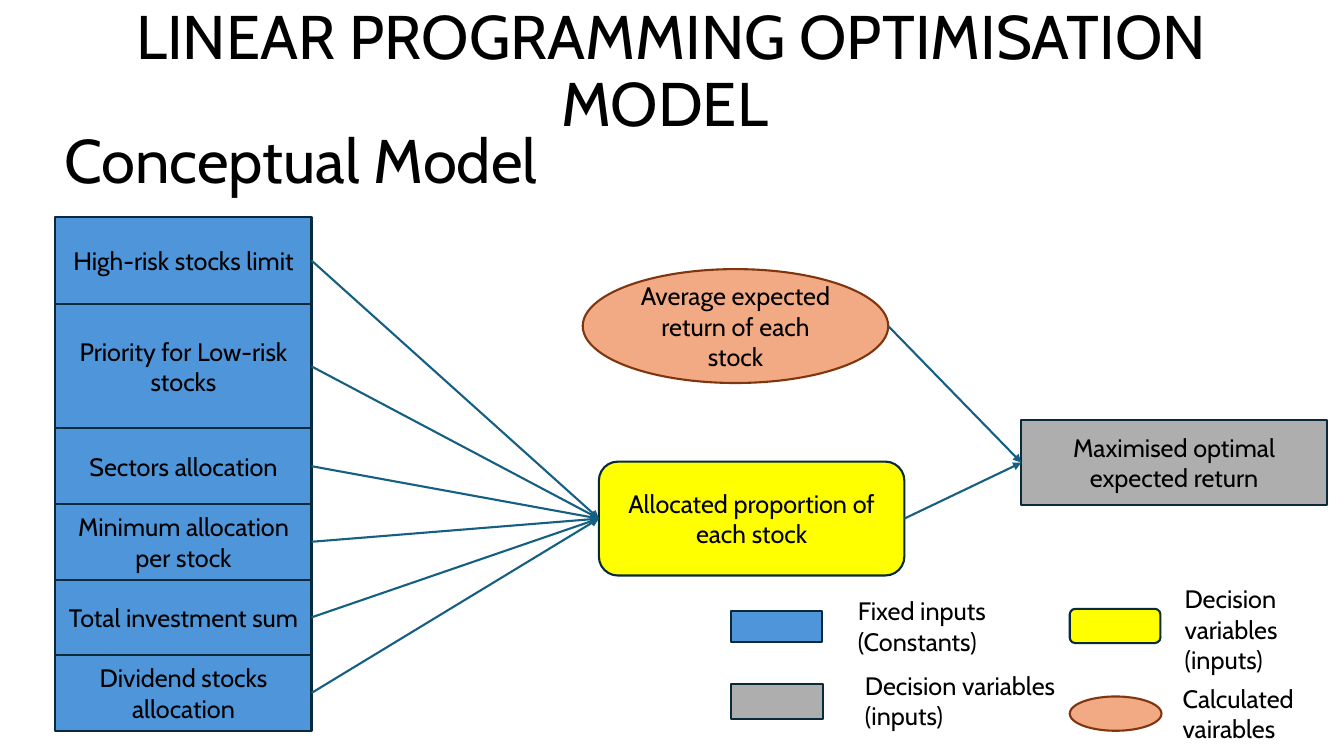
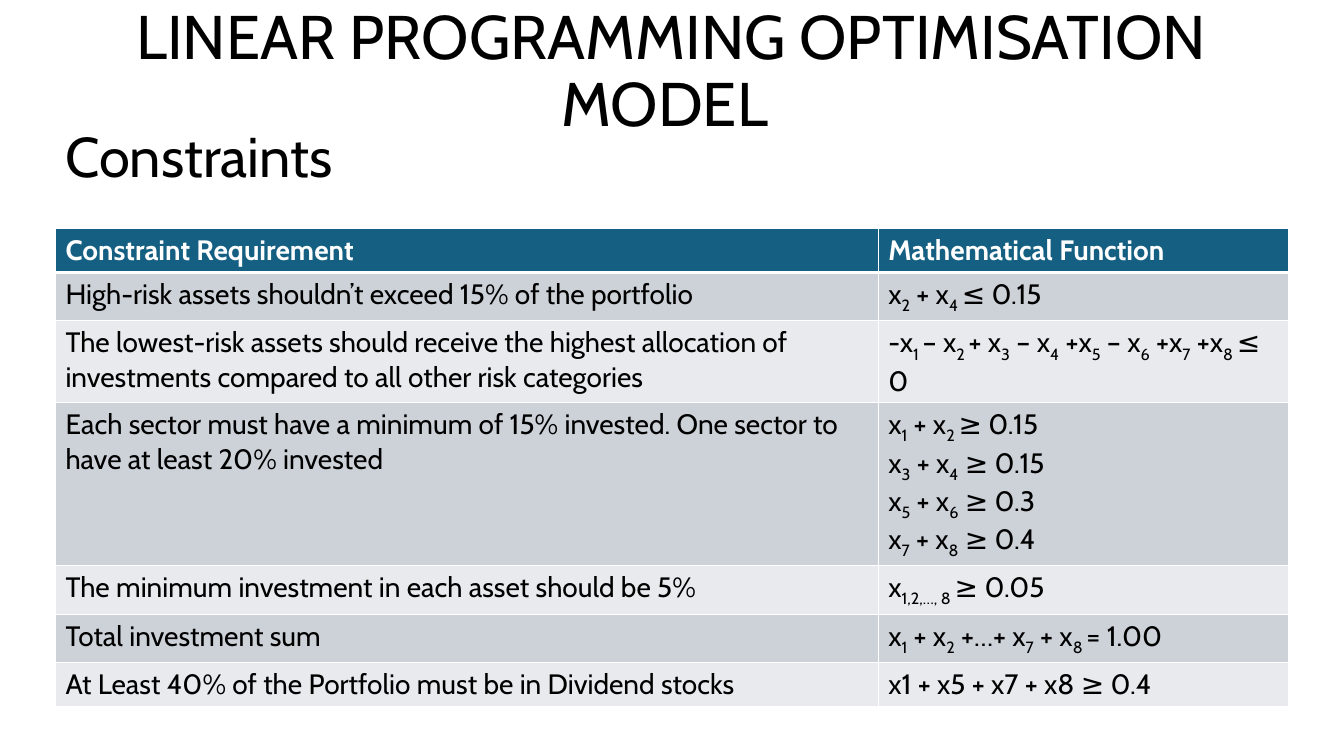
"""Build two slides on a linear programming model: its concept and its constraints."""
from itertools import accumulate

from lxml import etree
from pptx import Presentation
from pptx.dml.color import RGBColor
from pptx.enum.shapes import MSO_CONNECTOR, MSO_SHAPE
from pptx.enum.text import MSO_ANCHOR, MSO_AUTO_SIZE, PP_ALIGN
from pptx.oxml.ns import qn
from pptx.util import Inches, Pt

RECTANGLE = MSO_SHAPE.RECTANGLE
ROUNDED = MSO_SHAPE.ROUNDED_RECTANGLE
OVAL = MSO_SHAPE.OVAL
STRAIGHT = MSO_CONNECTOR.STRAIGHT
TOP, MIDDLE = MSO_ANCHOR.TOP, MSO_ANCHOR.MIDDLE
LEFT, CENTER = PP_ALIGN.LEFT, PP_ALIGN.CENTER
NO_AUTOFIT = MSO_AUTO_SIZE.NONE
LEFT_SITE, RIGHT_SITE = 1, 3

FONT = "Cabin"
BLACK, WHITE = "000000", "FFFFFF"
TEAL, NAVY, BROWN = "156082", "092A39", "80350E"
BLUE, YELLOW, GRAY, ORANGE = "4E95D9", "FFFF00", "AEAEAE", "F2AA84"
BANDS = ("CCD2D8", "E8EAED")

FIXED = (RECTANGLE, BLUE, NAVY)
DECISION = (ROUNDED, YELLOW, NAVY)
RESULT = (RECTANGLE, GRAY, NAVY)
CALCULATED = (OVAL, ORANGE, BROWN)

TITLE = "LINEAR PROGRAMMING OPTIMISATION MODEL "
INPUTS = [
    ("High-risk stocks limit", 0.87),
    ("Priority for Low-risk stocks", 1.23),
    ("Sectors allocation", 0.75),
    ("Minimum allocation per stock", 0.75),
    ("Total investment sum", 0.75),
    ("Dividend stocks allocation", 0.75),
]
LEGEND = [
    (FIXED, (7.25, 6.06, 0.9, 0.31), "Fixed inputs (Constants)", (8.41, 5.86, 1.72, 0.71)),
    (DECISION, (10.61, 6.04, 0.9, 0.34), "Decision variables (inputs)", (11.65, 5.74, 1.68, 1.01)),
    (RESULT, (7.25, 6.79, 0.91, 0.34), "Decision variables (inputs)", (8.48, 6.6, 2.13, 0.71)),
    (CALCULATED, (10.61, 6.91, 0.91, 0.34), "Calculated vairables", (11.63, 6.73, 1.68, 0.71)),
]
CONSTRAINTS = [
    ("Constraint Requirement", "Mathematical Function"),
    ("High-risk assets shouldn’t exceed 15% of the portfolio", "x|2| + x|4 |≤ 0.15"),
    ("The lowest-risk assets should receive the highest allocation of investments "
     "compared to all other risk categories",
     "-x|1 |– x|2 |+ x|3| – x|4| +x|5| – x|6| +x|7| +x|8 |≤ 0"),
    ("Each sector must have a minimum of 15% invested. One sector to have at least 20% invested",
     "x|1| + x|2 |≥ 0.15\nx|3| + x|4| ≥ 0.15\nx|5| + x|6| ≥ 0.3\nx|7| + x|8| ≥ 0.4"),
    ("The minimum investment in each asset should be 5%", "x|1,2,…, 8 |≥ 0.05"),
    ("Total investment sum", "x|1| + x|2| +…+ x|7| + x|8 |= 1.00"),
    ("At Least 40% of the Portfolio must be in Dividend stocks", "x1 + x5 + x7 + x8 ≥ 0.4"),
]


def color(value):
    """Return the colour for a hex string."""
    return RGBColor.from_string(value)


def write(frame, text, size=18, fill=BLACK, bold=False, align=LEFT, anchor=TOP, spacing=None):
    """Fill a text frame, one paragraph a line, with subscripts between bars."""
    frame.word_wrap = True
    frame.vertical_anchor = anchor
    for number, line in enumerate(text.split("\n")):
        paragraph = frame.add_paragraph() if number else frame.paragraphs[0]
        paragraph.alignment = align
        paragraph.line_spacing = spacing
        for position, part in enumerate(line.split("|")):
            run = paragraph.add_run()
            run.text = part
            run.font.name, run.font.size, run.font.bold = FONT, Pt(size), bold
            run.font.color.rgb = color(fill)
            if position % 2:
                run.font._element.set("baseline", "-25000")


def border(cell, edges):
    """Draw white borders on a cell, given their widths in points by edge."""
    properties = cell._tc.get_or_add_tcPr()
    for index, (edge, width) in enumerate(edges.items()):
        line = etree.Element(qn(f"a:ln{edge}"), w=str(Pt(width)))
        solid = etree.SubElement(line, qn("a:solidFill"))
        etree.SubElement(solid, qn("a:srgbClr"), val=WHITE)
        properties.insert(index, line)


class Deck:
    """Hold the presentation, its style and the current slide."""

    def __init__(self):
        """Start an empty wide presentation."""
        self.presentation = Presentation()
        self.presentation.slide_width = Inches(13.33)
        self.presentation.slide_height = Inches(7.5)
        self.slide = None

    def add_slide(self, heading, box, size):
        """Add a slide with the shared title and its own heading."""
        self.slide = self.presentation.slides.add_slide(self.presentation.slide_layouts[5])
        title = self.slide.shapes.title
        title.left, title.top, title.width, title.height = map(Inches, (0.17, 0, 12.98, 1.45))
        title.text_frame.auto_size = NO_AUTOFIT
        write(title.text_frame, TITLE, size=44, align=CENTER, anchor=MIDDLE, spacing=0.9)
        self.text(heading, box, size=size, anchor=MIDDLE, spacing=0.9)

    def text(self, text, box, **style):
        """Add a text box."""
        shape = self.slide.shapes.add_textbox(*map(Inches, box))
        write(shape.text_frame, text, **style)

    def node(self, look, box, text=""):
        """Add an outlined shape, with centred text if given."""
        kind, fill, outline = look
        shape = self.slide.shapes.add_shape(kind, *map(Inches, box))
        shape.shadow.inherit = False
        shape.fill.solid()
        shape.fill.fore_color.rgb = color(fill)
        shape.line.color.rgb = color(outline)
        shape.line.width = Pt(1.5)
        if text:
            write(shape.text_frame, text, align=CENTER, anchor=MIDDLE)
        return shape

    def arrow(self, source, target):
        """Draw an arrow from the right side of one shape to the left side of another."""
        connector = self.slide.shapes.add_connector(
            STRAIGHT, source.left + source.width, source.top + source.height // 2,
            target.left, target.top + target.height // 2)
        if source.auto_shape_type != OVAL:
            connector.begin_connect(source, RIGHT_SITE)
        connector.end_connect(target, LEFT_SITE)
        connector.line.color.rgb = color(TEAL)
        connector.line.width = Pt(1.5)
        etree.SubElement(connector.line._get_or_add_ln(), qn("a:tailEnd"), type="triangle")
        etree.SubElement(connector._element.spPr, qn("a:effectLst"))

    def table(self, rows, box, widths):
        """Add a banded table with a header row."""
        table = self.slide.shapes.add_table(len(rows), len(widths), *map(Inches, box)).table
        table.horz_banding = False
        for column, width in zip(table.columns, widths):
            column.width = Inches(width)
        for number, texts in enumerate(rows):
            header = number == 0
            for cell, text in zip(table.rows[number].cells, texts):
                cell.fill.solid()
                cell.fill.fore_color.rgb = color(TEAL if header else BANDS[(number - 1) % 2])
                border(cell, {"L": 1, "R": 1, "T": 3 if number == 1 else 1, "B": 3 if header else 1})
                write(cell.text_frame, text, size=20, fill=WHITE if header else BLACK, bold=header)


def main():
    """Build both slides and save the presentation."""
    deck = Deck()

    deck.add_slide("Conceptual Model", (0.54, 0.9, 4.93, 1.45), size=44)
    optimum = deck.node(RESULT, (10.13, 4.17, 3.03, 0.84), "Maximised optimal expected return")
    proportion = deck.node(DECISION, (5.94, 4.58, 3.03, 1.13), "Allocated proportion of each stock")
    average = deck.node(CALCULATED, (5.78, 2.67, 3.03, 1.13), "Average expected return of each stock")
    tops = accumulate((height for _, height in INPUTS), initial=2.15)
    inputs = [deck.node(FIXED, (0.55, top, 2.54, height), text)
              for (text, height), top in zip(INPUTS, tops)]
    for source in (proportion, average):
        deck.arrow(source, optimum)
    for source in inputs:
        deck.arrow(source, proportion)
    for look, key_box, label, label_box in LEGEND:
        deck.node(look, key_box)
        deck.text(label, label_box)

    deck.add_slide("Constraints", (0.55, 0.86, 6.51, 1.45), size=40)
    deck.table(CONSTRAINTS, (0.55, 2.27, 12.23, 2.87), (8.16, 4.07))

    deck.presentation.save("out.pptx")


if __name__ == "__main__":
    main()
